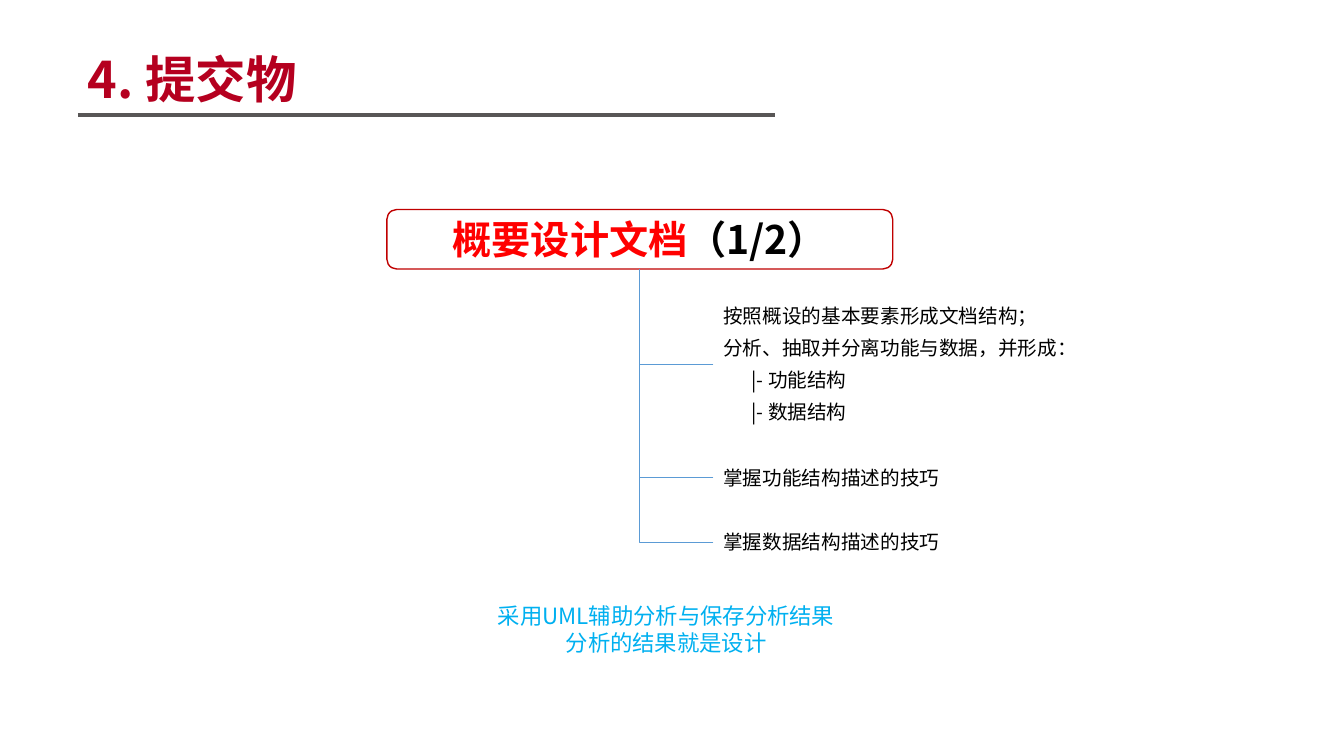
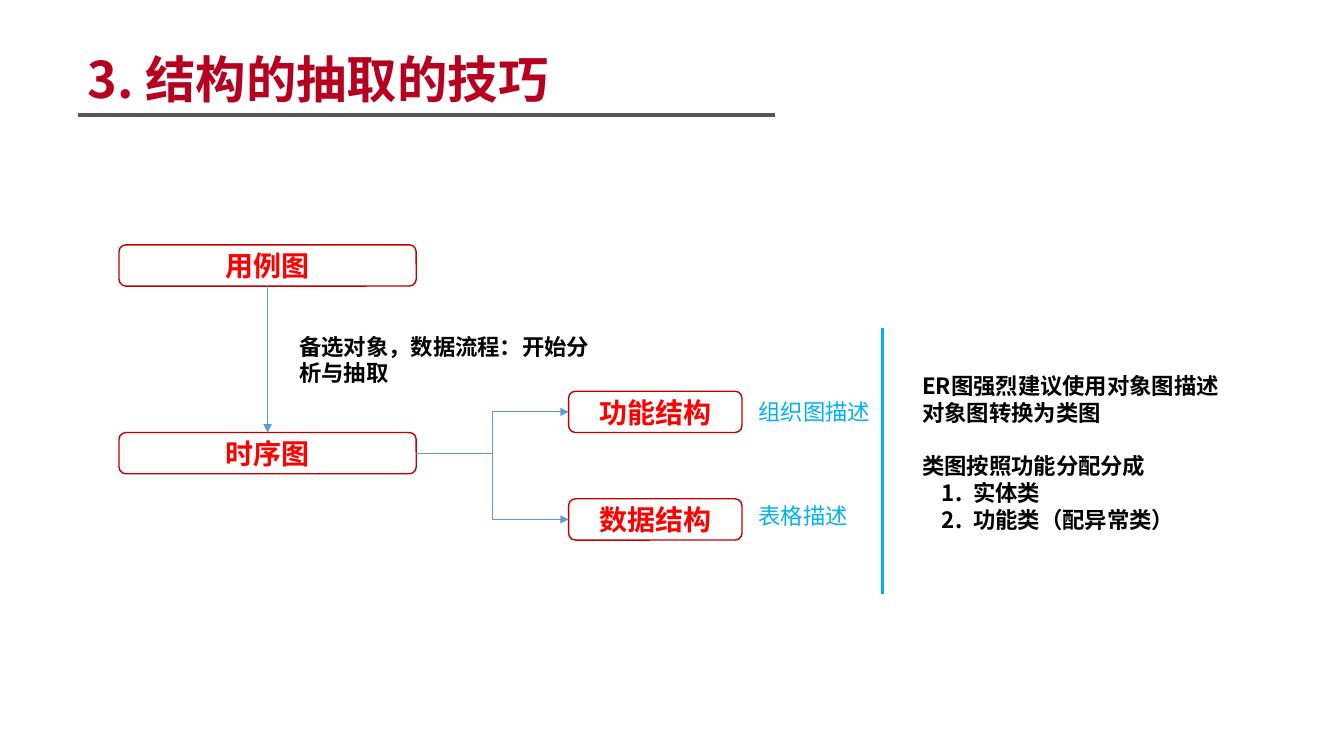
import dataclasses

import lxml.etree
import pptx
import pptx.dml.color
import pptx.enum.shapes
import pptx.enum.text
import pptx.oxml.ns
import pptx.util

Cm = pptx.util.Cm
Pt = pptx.util.Pt
qn = pptx.oxml.ns.qn
ALIGN = pptx.enum.text.PP_ALIGN
ANCHOR = pptx.enum.text.MSO_ANCHOR
CONNECTOR = pptx.enum.shapes.MSO_CONNECTOR
TOP, LEFT, BOTTOM, RIGHT = range(4)


@dataclasses.dataclass(frozen=True)
class Theme:
    font: str = "Noto Sans CJK SC"
    title: str = "B5001F"
    rule: str = "585656"
    frame: str = "C00000"
    emphasis: str = "FF0000"
    text: str = "000000"
    accent: str = "00B0F0"
    link: str = "5B9BD5"
    title_size: int = 36
    header_size: int = 28
    box_size: int = 20
    note_size: int = 16
    item_size: int = 14


THEME = Theme()


def rgb(value):
    return pptx.dml.color.RGBColor.from_string(value)


def style_paragraph(paragraph, size, color=None, bold=False, align=ALIGN.LEFT, before=0):
    paragraph.alignment = align
    paragraph.space_before = Pt(before)
    font = paragraph.font
    font.size = Pt(size)
    font.bold = bold
    if color:
        font.color.rgb = rgb(color)
    font.name = THEME.font
    defaults = paragraph._p.pPr.find(qn("a:defRPr"))
    defaults.find(qn("a:latin")).addnext(
        defaults.makeelement(qn("a:ea"), {"typeface": THEME.font}))


def indent_paragraph(paragraph, left, hanging=0, numbered=False):
    properties = paragraph._p.get_or_add_pPr()
    properties.set("marL", str(Cm(left)))
    properties.set("indent", str(-Cm(hanging)))
    if numbered:
        bullet = properties.makeelement(qn("a:buAutoNum"), {"type": "arabicPeriod"})
        properties.find(qn("a:defRPr")).addprevious(bullet)


def add_text(slide, left, top, width, height, lines, size, color=THEME.text, **style):
    shape = slide.shapes.add_textbox(Cm(left), Cm(top), Cm(width), Cm(height))
    frame = shape.text_frame
    frame.word_wrap = True
    frame.text = "\n".join(lines)
    for paragraph in frame.paragraphs:
        style_paragraph(paragraph, size, color, **style)
    return shape


def add_box(slide, left, top, width, height, runs, size):
    shape = slide.shapes.add_shape(
        pptx.enum.shapes.MSO_SHAPE.ROUNDED_RECTANGLE,
        Cm(left), Cm(top), Cm(width), Cm(height))
    shape.shadow.inherit = False
    shape.fill.background()
    shape.line.color.rgb = rgb(THEME.frame)
    shape.line.width = Pt(1)
    frame = shape.text_frame
    frame.word_wrap = True
    frame.vertical_anchor = ANCHOR.MIDDLE
    paragraph = frame.paragraphs[0]
    style_paragraph(paragraph, size, bold=True, align=ALIGN.CENTER)
    for text, color in runs:
        run = paragraph.add_run()
        run.text = text
        run.font.color.rgb = rgb(color)
    return shape


def add_line(slide, start, end, color, width, kind=CONNECTOR.STRAIGHT, arrow=False):
    connector = slide.shapes.add_connector(kind, *map(Cm, start + end))
    connector.line.color.rgb = rgb(color)
    connector.line.width = Pt(width)
    if arrow:
        lxml.etree.SubElement(
            connector.line._get_or_add_ln(), qn("a:tailEnd"), {"type": "triangle"})
    lxml.etree.SubElement(connector._element.spPr, qn("a:effectLst"))
    return connector


def link(slide, source, source_side, target, target_side,
         kind=CONNECTOR.ELBOW, arrow=True):
    connector = add_line(slide, (0, 0), (0, 0), THEME.link, 0.5, kind, arrow)
    connector.begin_connect(source, source_side)
    connector.end_connect(target, target_side)
    return connector


def link_branch(slide, item, header):
    connector = link(slide, item, LEFT, header, BOTTOM, arrow=False)
    geometry = connector._element.spPr.find(qn("a:prstGeom"))
    geometry.set("prst", "bentConnector2")


def add_titled_slide(presentation, text):
    slide = presentation.slides.add_slide(presentation.slide_layouts[5])
    title = slide.shapes.title
    title.left, title.top, title.width, title.height = map(Cm, (1.96, 1.09, 22.1, 1.8))
    frame = title.text_frame
    frame.text = text
    frame.word_wrap = True
    frame.auto_size = pptx.enum.text.MSO_AUTO_SIZE.NONE
    frame.vertical_anchor = ANCHOR.TOP
    style_paragraph(frame.paragraphs[0], THEME.title_size, THEME.title, bold=True)
    add_line(slide, (1.96, 2.9), (19.53, 2.9), THEME.rule, 3)
    return slide


def build_deliverables(presentation):
    slide = add_titled_slide(presentation, "4. 提交物")
    header = add_box(
        slide, 9.75, 5.28, 12.75, 1.5,
        [("概要设计文档", THEME.emphasis), ("（1/2）", THEME.text)], THEME.header_size)
    items = [
        (7.54, 9.6, 3.3, ["按照概设的基本要素形成文档结构；",
                          "分析、抽取并分离功能与数据，并形成：",
                          "|- 功能结构", "|- 数据结构"]),
        (11.61, 6.1, 0.86, ["掌握功能结构描述的技巧"]),
        (13.23, 6.1, 0.86, ["掌握数据结构描述的技巧"]),
    ]
    for top, width, height, lines in items:
        item = add_text(slide, 17.98, top, width, height, lines,
                        THEME.item_size, before=6)
        for paragraph in item.text_frame.paragraphs[2:]:
            indent_paragraph(paragraph, 0.71)
        link_branch(slide, item, header)
    add_text(slide, 12.19, 15.04, 9.2, 1.63,
             ["采用UML辅助分析与保存分析结果", "分析的结果就是设计"],
             THEME.note_size, THEME.accent, align=ALIGN.CENTER)


def build_extraction(presentation):
    slide = add_titled_slide(presentation, "3. 结构的抽取的技巧")
    use_case, sequence = [
        add_box(slide, 3, top, 7.49, 1.04, [(text, THEME.emphasis)], THEME.box_size)
        for text, top in (("用例图", 6.17), ("时序图", 10.9))]
    link(slide, use_case, BOTTOM, sequence, TOP, CONNECTOR.STRAIGHT)
    add_text(slide, 7.29, 8.26, 7.98, 1.63, ["备选对象，数据流程：开始分析与抽取"],
             THEME.note_size, bold=True)
    structures = [("功能结构", 9.86, "组织图描述", 9.91),
                  ("数据结构", 12.57, "表格描述", 12.52)]
    for name, top, description, description_top in structures:
        structure = add_box(slide, 14.33, top, 4.37, 1.04,
                            [(name, THEME.emphasis)], THEME.box_size)
        link(slide, sequence, RIGHT, structure, LEFT)
        add_text(slide, 18.87, description_top, 3.4, 0.94, [description],
                 THEME.note_size, THEME.accent)
    add_line(slide, (22.25, 8.26), (22.25, 14.96), THEME.accent, 2.25)
    advice = add_text(
        slide, 22.99, 9.25, 9.65, 4.37,
        ["ER图强烈建议使用对象图描述", "对象图转换为类图", "类图按照功能分配分成",
         "实体类", "功能类（配异常类）"],
        THEME.note_size, bold=True)
    paragraphs = advice.text_frame.paragraphs
    paragraphs[2].space_before = Pt(19)
    for paragraph in paragraphs[3:]:
        indent_paragraph(paragraph, 1.29, 0.79, numbered=True)


def main():
    presentation = pptx.Presentation()
    presentation.slide_width = Cm(33.87)
    presentation.slide_height = Cm(19.05)
    build_deliverables(presentation)
    build_extraction(presentation)
    presentation.save("out.pptx")


if __name__ == "__main__":
    main()
